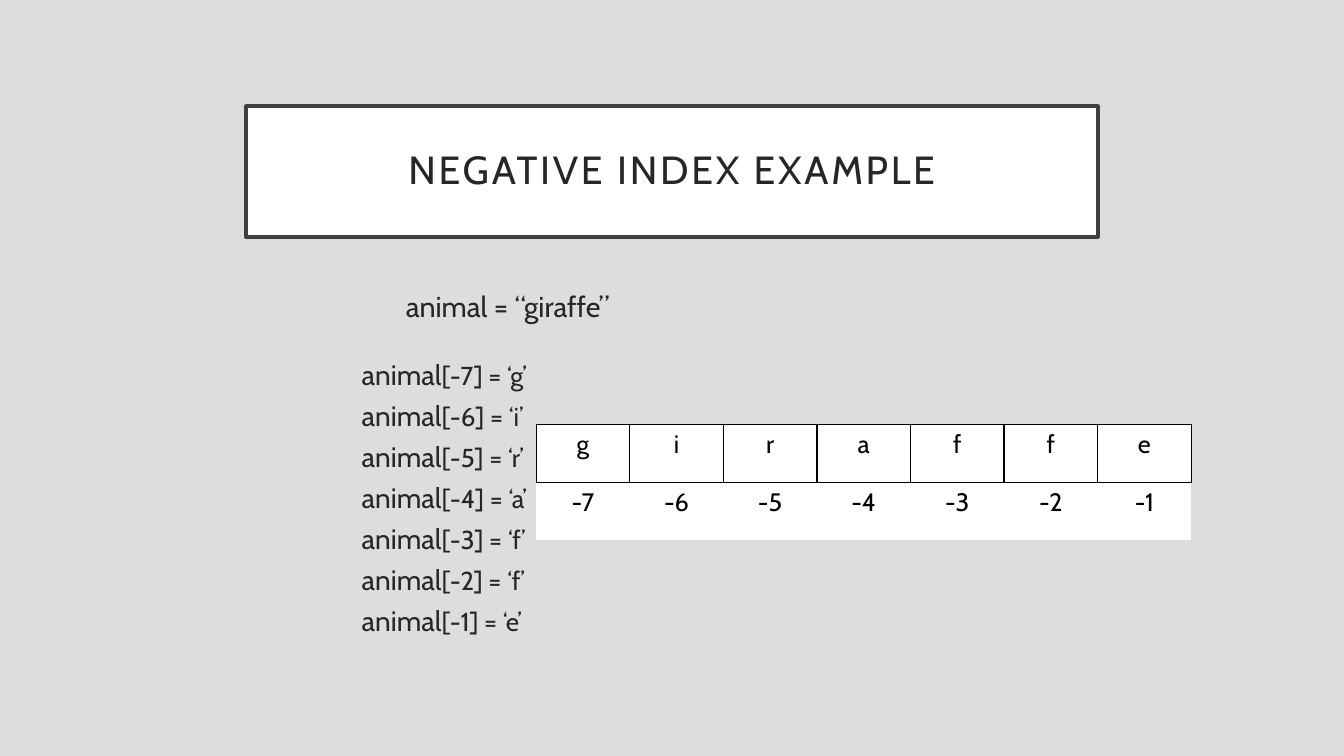
from dataclasses import dataclass

from lxml import etree
from pptx import Presentation
from pptx.dml.color import RGBColor
from pptx.enum import text
from pptx.oxml import ns
from pptx.util import Pt


@dataclass(frozen=True)
class Theme:
    font: str = "Cabin"
    background: str = "DDDDDD"
    panel: str = "FFFFFF"
    frame: str = "404040"
    ink: str = "262626"
    table_ink: str = "000000"
    title_size: float = 28
    assignment_size: float = 20.5
    name_size: float = 20
    index_size: float = 18.5
    table_size: float = 18


theme = Theme()


def set_font(font, size, color):
    font.name = theme.font
    font.size = Pt(size)
    font.bold = False
    font.color.rgb = RGBColor.from_string(color)


def set_border(cell, side, visible):
    properties = cell._tc.get_or_add_tcPr()
    line = etree.SubElement(properties, ns.qn(f"a:ln{side}"), w=str(Pt(1)))
    if visible:
        fill = etree.SubElement(line, ns.qn("a:solidFill"))
        etree.SubElement(fill, ns.qn("a:srgbClr"), val=theme.table_ink)
    else:
        etree.SubElement(line, ns.qn("a:noFill"))


word = "giraffe"

presentation = Presentation()
presentation.slide_width = Pt(960)
presentation.slide_height = Pt(540)
slide = presentation.slides.add_slide(presentation.slide_layouts[5])
slide.background.fill.solid()
slide.background.fill.fore_color.rgb = RGBColor.from_string(theme.background)

title = slide.shapes.title
title.left, title.top, title.width, title.height = Pt(175.8), Pt(75.8), Pt(608.4), Pt(93.6)
title.fill.solid()
title.fill.fore_color.rgb = RGBColor.from_string(theme.panel)
title.line.color.rgb = RGBColor.from_string(theme.frame)
title.line.width = Pt(2.5)
frame = title.text_frame
frame.text = "NEGATIVE INDEX EXAMPLE"
frame.margin_left = frame.margin_right = frame.margin_top = frame.margin_bottom = Pt(14.4)
frame.vertical_anchor = text.MSO_ANCHOR.MIDDLE
paragraph = frame.paragraphs[0]
paragraph.alignment = text.PP_ALIGN.CENTER
paragraph.line_spacing = 0.9
set_font(paragraph.font, theme.title_size, theme.ink)
paragraph.runs[0].font._element.set("spc", "200")

body = slide.shapes.add_textbox(Pt(175.8), Pt(207.4), Pt(608.4), Pt(244))
frame = body.text_frame
frame.word_wrap = True
paragraph = frame.paragraphs[0]
paragraph.text = f"animal = “{word}”"
paragraph.line_spacing = 0.8
paragraph._p.get_or_add_pPr().set("marL", str(Pt(107)))
set_font(paragraph.font, theme.assignment_size, theme.ink)

for position, letter in enumerate(word):
    paragraph = frame.add_paragraph()
    paragraph.line_spacing = 0.8
    paragraph.space_before = Pt(10 if position else 29.5)
    paragraph._p.get_or_add_pPr().set("marL", str(Pt(75.5)))
    index = position - len(word)
    for content, size in (("animal", theme.name_size), (f"[{index}] = ‘{letter}’", theme.index_size)):
        run = paragraph.add_run()
        run.text = content
        set_font(run.font, size, theme.ink)

table = slide.shapes.add_table(2, len(word), Pt(383), Pt(303), Pt(468), Pt(82.8)).table
table.first_row = table.horz_banding = False
for column in table.columns:
    column.width = Pt(66.86)
for row in table.rows:
    row.height = Pt(41.4)

for position, letter in enumerate(word):
    for row, content in enumerate((letter, str(position - len(word)))):
        cell = table.cell(row, position)
        cell.text = content
        paragraph = cell.text_frame.paragraphs[0]
        paragraph.alignment = text.PP_ALIGN.CENTER
        set_font(paragraph.font, theme.table_size, theme.table_ink)
        for side in "LRTB":
            set_border(cell, side, row == 0 or side == "T")
        cell.fill.solid()
        cell.fill.fore_color.rgb = RGBColor.from_string(theme.panel)

presentation.save("out.pptx")
